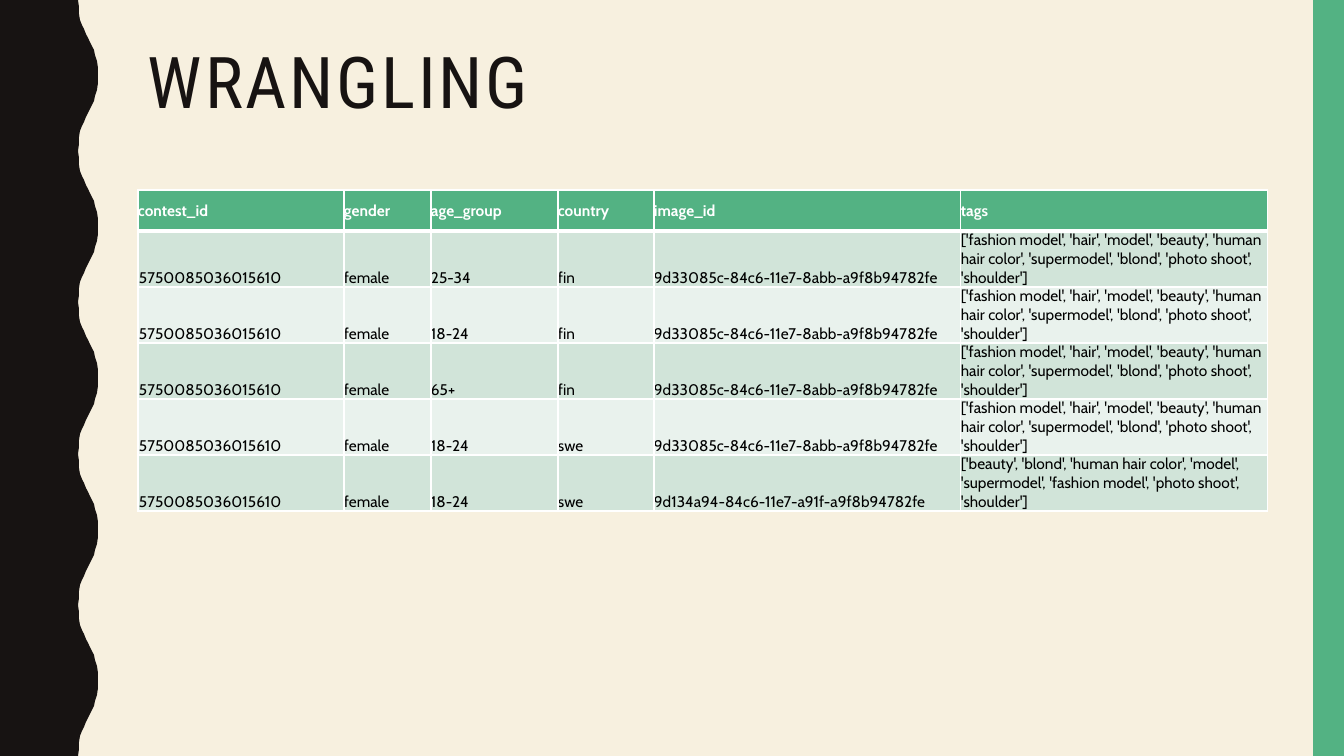
from lxml import etree
from pptx import Presentation
from pptx.dml.color import RGBColor
from pptx.enum.shapes import MSO_SHAPE
from pptx.enum.text import MSO_ANCHOR
from pptx.oxml.ns import qn
from pptx.util import Pt

RECTANGLE = MSO_SHAPE.RECTANGLE
TOP, MIDDLE, BOTTOM = MSO_ANCHOR.TOP, MSO_ANCHOR.MIDDLE, MSO_ANCHOR.BOTTOM
SLIDE_WIDTH, SLIDE_HEIGHT = 1344, 756
EMU_PER_PX = 12192000 / SLIDE_WIDTH
COLORS = {
    "cream": "F7F0DF", "ink": "171312", "green": "53B283", "white": "FFFFFF",
    "black": "000000", "dark_band": "D1E4D9", "light_band": "E9F2ED",
}
WAVE_COUNT = 5
HALF_WAVE = [
    (0, 0), (1, 7), (1, 14), (2, 20), (4, 25), (6, 29), (8, 34), (10, 38),
    (12, 42), (14, 46), (16, 50), (17, 55), (19, 61), (20, 68),
]
HEADINGS = ["contest_id", "gender", "age_group", "country", "image_id", "tags"]
COLUMN_WIDTHS = [206, 87, 127, 96, 307, 307]
HEADER_HEIGHT, ROW_HEIGHT = 41, 56
CONTEST = "5750085036015610"
FIRST_IMAGE = "9d33085c-84c6-11e7-8abb-a9f8b94782fe"
SECOND_IMAGE = "9d134a94-84c6-11e7-a91f-a9f8b94782fe"
FIRST_TAGS = (
    "['fashion model', 'hair', 'model', 'beauty', 'human hair color', "
    "'supermodel', 'blond', 'photo shoot', 'shoulder']"
)
SECOND_TAGS = (
    "['beauty', 'blond', 'human hair color', 'model', 'supermodel', "
    "'fashion model', 'photo shoot', 'shoulder']"
)
ENTRIES = [
    (CONTEST, "female", "25-34", "fin", FIRST_IMAGE, FIRST_TAGS),
    (CONTEST, "female", "18-24", "fin", FIRST_IMAGE, FIRST_TAGS),
    (CONTEST, "female", "65+", "fin", FIRST_IMAGE, FIRST_TAGS),
    (CONTEST, "female", "18-24", "swe", FIRST_IMAGE, FIRST_TAGS),
    (CONTEST, "female", "18-24", "swe", SECOND_IMAGE, SECOND_TAGS),
]


def px(length):
    """Turn pixels into EMU."""
    return round(length * EMU_PER_PX)


def rgb(name):
    """Look up a named colour."""
    return RGBColor.from_string(COLORS[name])


def set_all(target, values):
    """Set each attribute of the target from a dict."""
    for attribute, value in values.items():
        setattr(target, attribute, value)


def paint(shape, color):
    """Give a shape a flat fill without line or shadow."""
    shape.shadow.inherit = False
    shape.fill.solid()
    shape.fill.fore_color.rgb = rgb(color)
    shape.line.fill.background()


def add_wavy_edge(slide, left, top, width, height):
    """Draw the dark band whose right side is a row of waves."""
    period = height / WAVE_COUNT
    crest = HALF_WAVE[-1][0]
    trough = left + width - crest
    wave = HALF_WAVE + [(crest, period / 2)]
    wave += [(x, period - y) for x, y in reversed(HALF_WAVE)]
    points = [
        (trough + x, top + index * period + y)
        for index in range(WAVE_COUNT) for x, y in wave
    ]
    outline = slide.shapes.build_freeform(left, top, scale=EMU_PER_PX)
    outline.add_line_segments(points + [(left, top + height)], close=True)
    paint(outline.convert_to_shape(), "ink")


def add_side_bar(slide, left, top, width, height):
    """Draw the green bar at the right edge."""
    bar = slide.shapes.add_shape(RECTANGLE, *map(px, (left, top, width, height)))
    paint(bar, "green")


def add_title(slide, left, top, width, height):
    """Write the spaced title in its box."""
    title = slide.shapes.add_textbox(*map(px, (left, top, width, height)))
    set_all(title.text_frame, {"word_wrap": True, "vertical_anchor": TOP})
    paragraph = title.text_frame.paragraphs[0]
    paragraph.line_spacing = 0.9
    run = paragraph.add_run()
    run.text = "WRANGLING"
    set_all(run.font, {"name": "Roboto Condensed", "size": Pt(51)})
    run.font.color.rgb = rgb("ink")
    run.font._element.set("spc", "200")


def add_borders(cell, widths):
    """Draw white cell borders, widths in points by side."""
    properties = cell._tc.get_or_add_tcPr()
    for side, width in widths.items():
        line = etree.SubElement(properties, qn(f"a:ln{side}"), w=str(Pt(width)))
        fill = etree.SubElement(line, qn("a:solidFill"))
        etree.SubElement(fill, qn("a:srgbClr"), val=COLORS["white"])


def fill_cell(cell, text, row, column):
    """Write and style one cell by its place in the table."""
    is_header = row == 0
    inset = px(1) if column == 0 and not is_header else 0
    set_all(cell, {
        "text": text,
        "vertical_anchor": MIDDLE if is_header else BOTTOM,
        "margin_left": inset, "margin_top": inset,
        "margin_right": inset, "margin_bottom": 0,
    })
    add_borders(cell, {
        "L": 1, "R": 1, "T": 3 if row == 1 else 1, "B": 3 if is_header else 1,
    })
    band = "dark_band" if row % 2 else "light_band"
    cell.fill.solid()
    cell.fill.fore_color.rgb = rgb("green" if is_header else band)
    font = cell.text_frame.paragraphs[0].runs[0].font
    set_all(font, {"name": "Cabin", "size": Pt(11), "bold": is_header})
    font.color.rgb = rgb("white" if is_header else "black")


def add_entries_table(slide, left, top):
    """Build the table of contest entries from its top left corner."""
    rows = [HEADINGS] + ENTRIES
    heights = [HEADER_HEIGHT] + [ROW_HEIGHT] * len(ENTRIES)
    box = (left, top, sum(COLUMN_WIDTHS), sum(heights))
    table = slide.shapes.add_table(len(rows), len(HEADINGS), *map(px, box)).table
    for column, width in zip(table.columns, COLUMN_WIDTHS):
        column.width = px(width)
    for row, (texts, height) in enumerate(zip(rows, heights)):
        table.rows[row].height = px(height)
        for column, text in enumerate(texts):
            fill_cell(table.cell(row, column), text, row, column)


def main():
    """Build the slide and save it."""
    deck = Presentation()
    set_all(deck, {"slide_width": px(SLIDE_WIDTH), "slide_height": px(SLIDE_HEIGHT)})
    slide = deck.slides.add_slide(deck.slide_layouts[6])
    slide.background.fill.solid()
    slide.background.fill.fore_color.rgb = rgb("cream")
    add_wavy_edge(slide, 0, 0, 98, SLIDE_HEIGHT)
    add_side_bar(slide, SLIDE_WIDTH - 31, 0, 31, SLIDE_HEIGHT)
    add_title(slide, 138, 42, 1122, 164)
    add_entries_table(slide, 138, 190)
    deck.save("out.pptx")


if __name__ == "__main__":
    main()
